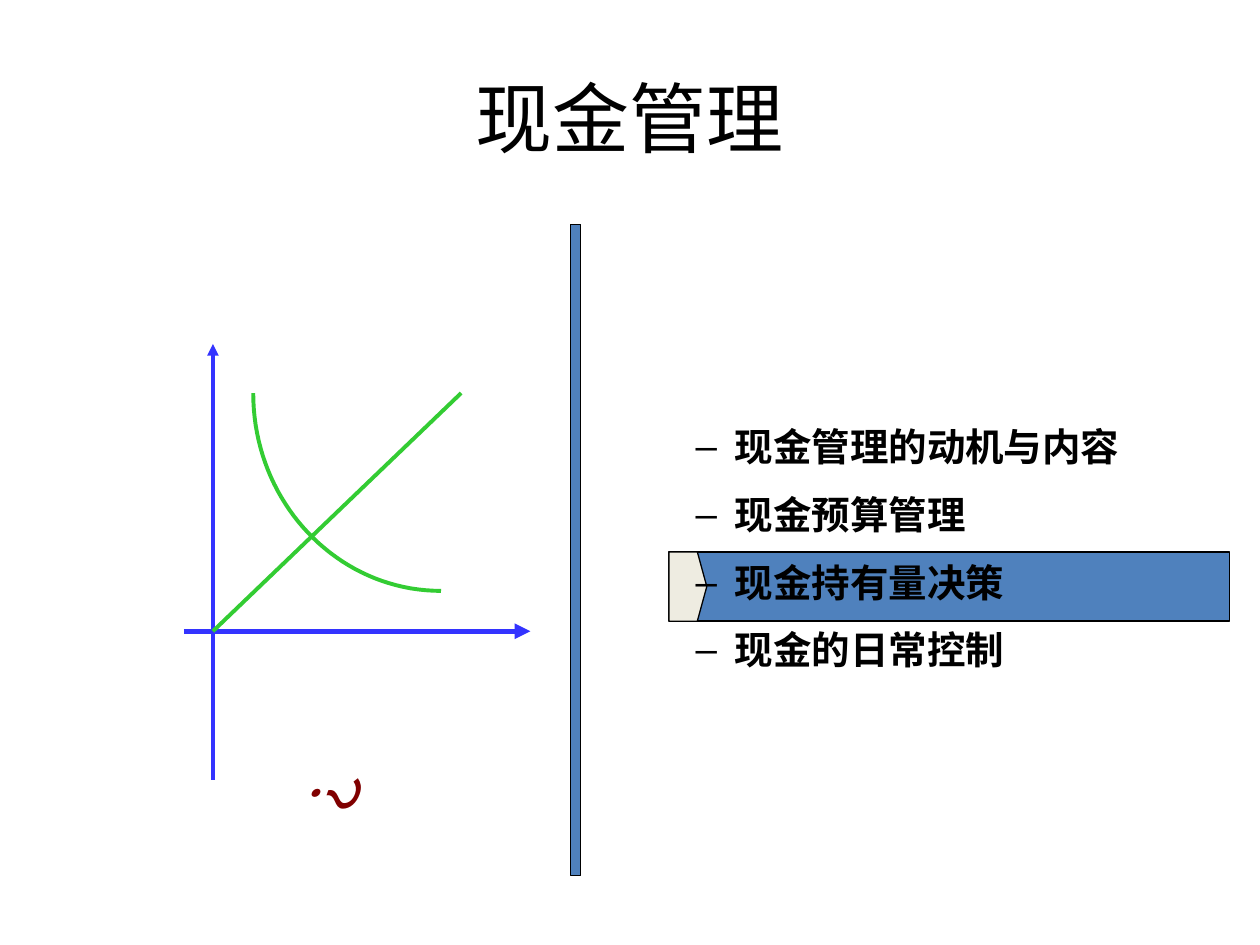
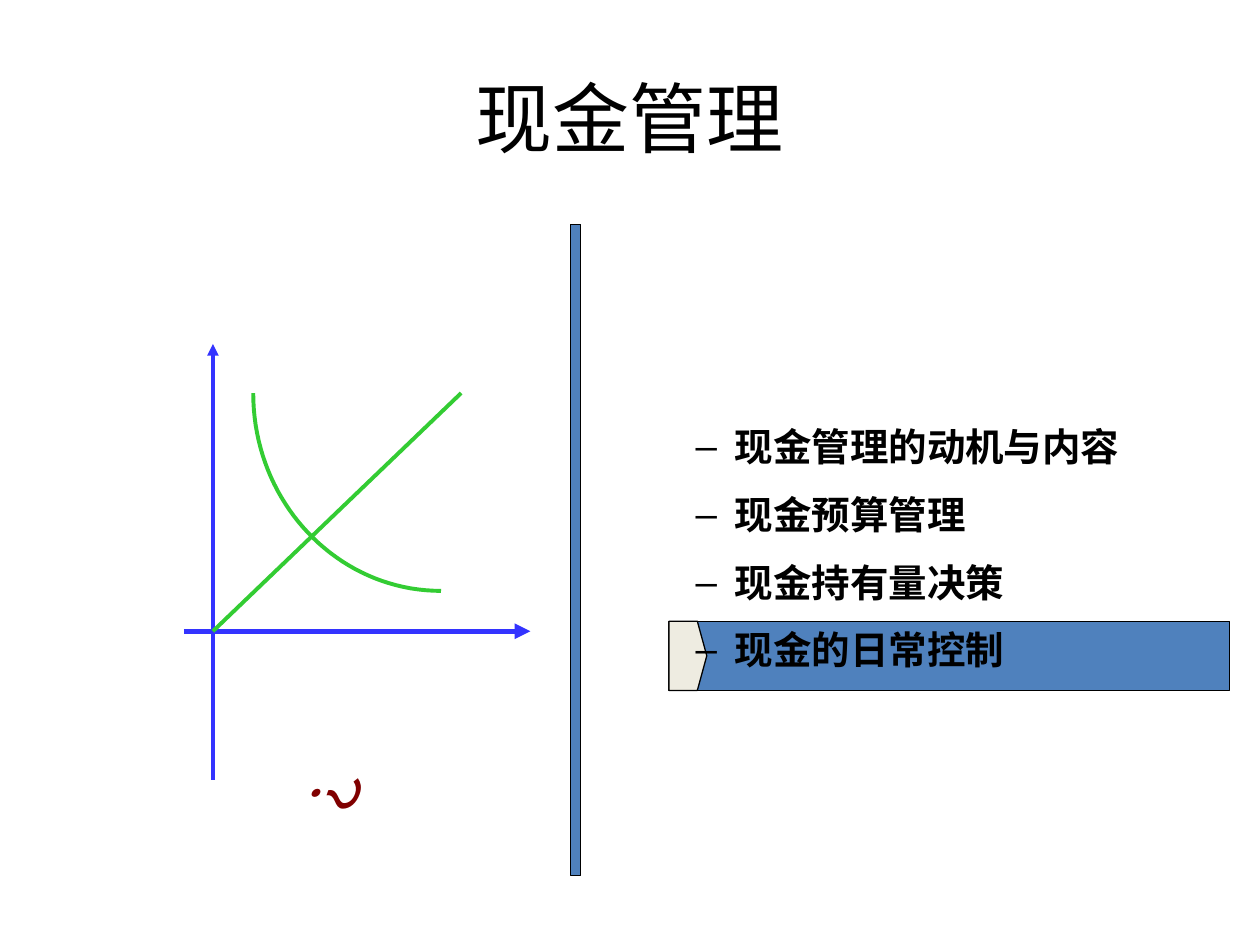
from dataclasses import dataclass

import pptx
import pptx.dml.color
import pptx.enum.shapes
import pptx.enum.text
import pptx.oxml
import pptx.oxml.ns
import pptx.util

Inches = pptx.util.Inches
Pt = pptx.util.Pt
MSO_SHAPE = pptx.enum.shapes.MSO_SHAPE

# Shared look
BLACK, BLUE, CREAM = "000000", "4F81BD", "EEECE1"
AXIS_BLUE, CURVE_GREEN, MARK_RED = "3333FF", "33CC33", "800000"
LATIN_FONT, CHINESE_FONT = "Calibri", "Noto Sans CJK SC"

# Shared content
TITLE = "现金管理"
TOPICS = ["现金管理的动机与内容", "现金预算管理", "现金持有量决策", "现金的日常控制"]
HIGHLIGHTED_TOPICS = [2, 3]
BAND_TOP, BAND_HEIGHT = 3.28, 0.55


@dataclass(frozen=True)
class GraphLine:
    start: tuple[float, float]
    end: tuple[float, float]
    color: str
    width: float
    arrow: bool = False


ORIGIN = (1.69, 5.01)
AXES = [
    GraphLine((1.46, 5.01), (4.21, 5.01), AXIS_BLUE, 3, arrow=True),
    GraphLine((1.69, 6.19), (1.69, 2.73), AXIS_BLUE, 2.25, arrow=True),
]
RISING_LINE = GraphLine(ORIGIN, (3.66, 3.12), CURVE_GREEN, 2.25)
FALLING_CURVE = [(3.5, 4.69), (2.68, 4.69), (2.01, 3.99), (2.01, 3.12)]
CURVE_STEPS = 40


def rgb(color: str) -> pptx.dml.color.RGBColor:
    return pptx.dml.color.RGBColor.from_string(color)


def write(paragraph, text: str, *, size: float, color: str = BLACK,
          font: str = LATIN_FONT, bold: bool = False, italic: bool = False):
    run = paragraph.add_run()
    run.text = text
    run.font.name, run.font.size = font, Pt(size)
    run.font.bold, run.font.italic = bold, italic
    run.font.color.rgb = rgb(color)
    return run


def place(shape, left: float, top: float, width: float, height: float) -> None:
    shape.left, shape.top = Inches(left), Inches(top)
    shape.width, shape.height = Inches(width), Inches(height)


def add_block(shapes, kind, left: float, top: float, width: float,
              height: float, fill: str):
    block = shapes.add_shape(kind, Inches(left), Inches(top), Inches(width), Inches(height))
    block.shadow.inherit = False
    block.fill.solid()
    block.fill.fore_color.rgb = rgb(fill)
    block.line.color.rgb = rgb(BLACK)
    block.line.width = Pt(0.75)
    return block


def add_graph_line(slide, graph_line: GraphLine) -> None:
    points = [Inches(value) for value in graph_line.start + graph_line.end]
    connector = slide.shapes.add_connector(
        pptx.enum.shapes.MSO_CONNECTOR.STRAIGHT, *points)
    connector.line.color.rgb = rgb(graph_line.color)
    connector.line.width = Pt(graph_line.width)
    if graph_line.arrow:
        outline = connector.line._get_or_add_ln()
        pptx.oxml.ns.qn("a:tailEnd")
        tail = outline.makeelement(pptx.oxml.ns.qn("a:tailEnd"), {"type": "triangle"})
        outline.append(tail)
    properties = connector.element.spPr
    properties.append(properties.makeelement(pptx.oxml.ns.qn("a:effectLst"), {}))


def curve_point(t: float) -> tuple[int, int]:
    """Return the point of the cubic falling curve at t, in EMU."""
    weights = ((1 - t) ** 3, 3 * t * (1 - t) ** 2, 3 * t ** 2 * (1 - t), t ** 3)
    x, y = (sum(w * p[axis] for w, p in zip(weights, FALLING_CURVE)) for axis in (0, 1))
    return Inches(x), Inches(y)


def add_falling_curve(slide) -> None:
    start, *rest = [curve_point(step / CURVE_STEPS) for step in range(CURVE_STEPS + 1)]
    builder = slide.shapes.build_freeform(*start)
    builder.add_line_segments(rest, close=False)
    curve = builder.convert_to_shape()
    curve.shadow.inherit = False
    curve.fill.background()
    curve.line.color.rgb = rgb(CURVE_GREEN)
    curve.line.width = Pt(2.25)


def add_question_mark(slide) -> None:
    mark = slide.shapes.add_textbox(Inches(1.06), Inches(4.62), Inches(3.78), Inches(0.31))
    mark.rotation = 90
    frame = mark.text_frame
    frame.word_wrap = False
    frame._txBody.bodyPr.set("vert", "eaVert")
    paragraph = frame.paragraphs[0]
    paragraph.alignment = pptx.enum.text.PP_ALIGN.CENTER
    run = write(paragraph, "？", size=36, color=MARK_RED, font=CHINESE_FONT, italic=True)
    # Outlined letters, with the same typeface for East Asian text
    namespace = pptx.oxml.ns.nsdecls("a")
    properties = run.font._element
    properties.insert(0, pptx.oxml.parse_xml(
        f'<a:ln {namespace} w="{Pt(0.75)}"><a:solidFill>'
        f'<a:srgbClr val="{MARK_RED}"/></a:solidFill></a:ln>'))
    properties.append(pptx.oxml.parse_xml(
        f'<a:ea {namespace} typeface="{CHINESE_FONT}"/>'))


def add_highlight_band(slide, row: int) -> None:
    top = BAND_TOP + row * BAND_HEIGHT
    band = slide.shapes.add_group_shape().shapes
    add_block(band, MSO_SHAPE.RECTANGLE, 5.31, top, 4.45, BAND_HEIGHT, BLUE)
    tab = add_block(band, MSO_SHAPE.PENTAGON, 5.31, top, 0.3, BAND_HEIGHT, CREAM)
    tab.adjustments[0] = 0.25


def fill_topics(topics) -> None:
    place(topics, 4.92, 3.2, 4.17, 2.46)
    frame = topics.text_frame
    for row, topic in enumerate(TOPICS):
        paragraph = frame.add_paragraph() if row else frame.paragraphs[0]
        paragraph.level = 1
        paragraph.line_spacing = 1.3
        if row == 0:
            paragraph.space_before = Pt(0)
        write(paragraph, topic, size=22, bold=True)


def fill_title(title) -> None:
    place(title, 0.5, 0.3, 9, 1.25)
    title.text_frame.vertical_anchor = pptx.enum.text.MSO_ANCHOR.MIDDLE
    paragraph = title.text_frame.paragraphs[0]
    paragraph.alignment = pptx.enum.text.PP_ALIGN.CENTER
    write(paragraph, TITLE, size=44)


def add_agenda_slide(presentation, highlighted_row: int) -> None:
    slide = presentation.slides.add_slide(presentation.slide_layouts[1])
    title, topics = slide.shapes.title, slide.placeholders[1]

    # Topic list in front of its highlight band
    add_highlight_band(slide, highlighted_row)
    fill_topics(topics)
    slide.shapes.element.append(topics.element)

    # Divider and graph
    add_block(slide.shapes, MSO_SHAPE.RECTANGLE, 4.53, 1.78, 0.08, 5.17, BLUE)
    for axis in AXES:
        add_graph_line(slide, axis)
    add_falling_curve(slide)
    add_graph_line(slide, RISING_LINE)
    add_question_mark(slide)

    # Title on top
    fill_title(title)
    slide.shapes.element.append(title.element)


def main() -> None:
    presentation = pptx.Presentation()
    presentation.slide_width, presentation.slide_height = Inches(10), Inches(7.5)
    for row in HIGHLIGHTED_TOPICS:
        add_agenda_slide(presentation, row)
    presentation.save("out.pptx")


if __name__ == "__main__":
    main()
